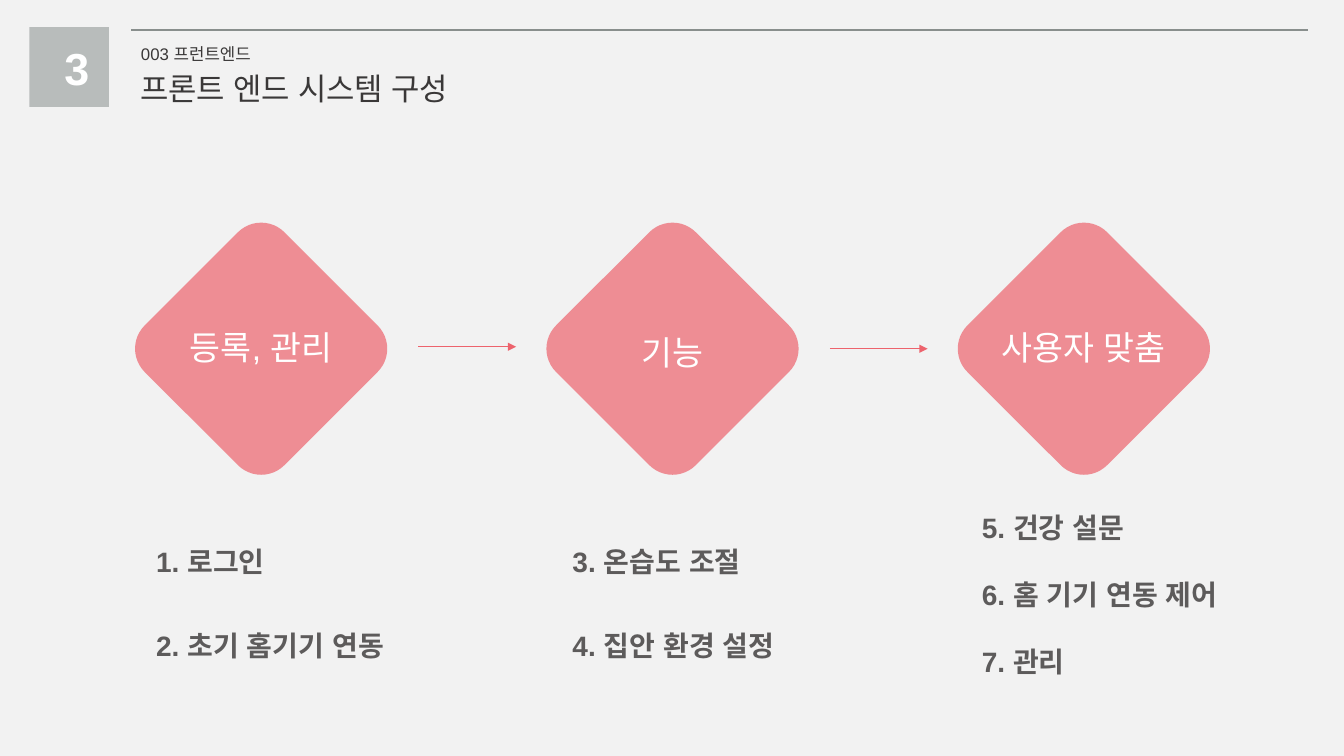
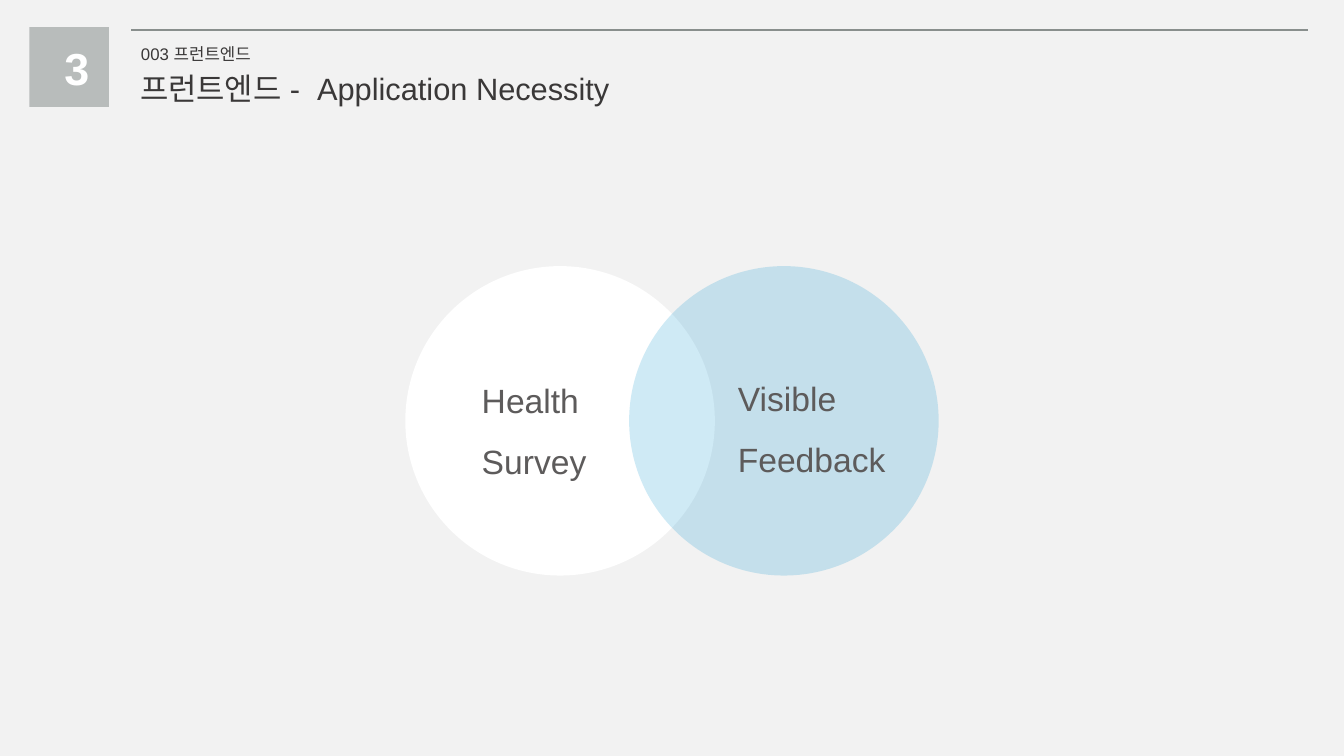
from lxml.etree import SubElement
from pptx import Presentation
from pptx.dml.color import RGBColor
from pptx.enum.shapes import MSO_CONNECTOR, MSO_SHAPE
from pptx.enum.text import MSO_ANCHOR, MSO_AUTO_SIZE, PP_ALIGN
from pptx.oxml.ns import qn
from pptx.util import Inches, Pt

# Shared style
FONT = "Arial"
BACKGROUND = "F2F2F2"
TITLE_COLOR = "3A3838"
BODY_COLOR = "5D5B5B"
WHITE = "FFFFFF"
CORAL = "ED636D"
BLUE = "1097D0"
RULE_COLOR = "898F8D"
BADGE_COLOR = "B8BCBB"

# Spacing of the three diamond columns
COLUMN_STEP = 4.08


def set_color(color_format, hex_color):
    """Fill or font: apply a hex colour."""
    color_format.rgb = RGBColor.from_string(hex_color)


def write_text(shape, lines, size, color, bold=False, align=PP_ALIGN.LEFT,
               line_spacing=None, indent=0, wrap=True):
    """Fill a shape's text frame and format every run alike."""
    frame = shape.text_frame
    frame.text = "\n".join(lines)
    frame.word_wrap = wrap
    frame.auto_size = MSO_AUTO_SIZE.SHAPE_TO_FIT_TEXT
    frame.vertical_anchor = MSO_ANCHOR.TOP
    for paragraph in frame.paragraphs:
        paragraph.alignment = align
        if line_spacing:
            paragraph.line_spacing = line_spacing
        if indent:
            properties = paragraph._p.get_or_add_pPr()
            properties.set("marL", str(Inches(indent)))
            properties.set("indent", "0")
        for run in paragraph.runs:
            run.font.name = FONT
            run.font.size = Pt(size)
            run.font.bold = bold
            set_color(run.font.color, color)
            # Korean glyphs use the East Asian font slot
            SubElement(run._r.get_or_add_rPr(), qn("a:ea"), typeface=FONT)


def add_text(slide, box, lines, size, color, **style):
    text_box = slide.shapes.add_textbox(*map(Inches, box))
    write_text(text_box, lines, size, color, **style)


def add_filled_shape(slide, kind, box, color, opacity=100):
    shape = slide.shapes.add_shape(kind, *map(Inches, box))
    shape.shadow.inherit = False
    shape.line.fill.background()
    shape.fill.solid()
    set_color(shape.fill.fore_color, color)
    if opacity < 100:
        color_element = shape._element.spPr.find(qn("a:solidFill"))[0]
        SubElement(color_element, qn("a:alpha"), val=str(opacity * 1000))
    return shape


def add_horizontal_line(slide, left, right, top, color, width, arrow=False):
    connector = slide.shapes.add_connector(
        MSO_CONNECTOR.STRAIGHT,
        Inches(left), Inches(top), Inches(right), Inches(top))
    connector.line.width = Pt(width)
    set_color(connector.line.color, color)
    if arrow:
        SubElement(connector.line._get_or_add_ln(), qn("a:tailEnd"),
                   type="triangle")
    SubElement(connector._element.spPr, qn("a:effectLst"))


def add_content_slide(presentation, title):
    """Title-only slide with the rule, number badge and section label."""
    slide = presentation.slides.add_slide(presentation.slide_layouts[5])
    heading = slide.shapes.title
    heading.left, heading.top = Inches(1.29), Inches(0.64)
    heading.width, heading.height = Inches(7.56), Inches(0.47)
    write_text(heading, [title], 22, TITLE_COLOR)

    add_horizontal_line(slide, 1.3, 12.97, 0.3, RULE_COLOR, 1.5)
    add_filled_shape(slide, MSO_SHAPE.RECTANGLE, (0.29, 0.27, 0.79, 0.79),
                     BADGE_COLOR)
    add_text(slide, (0.54, 0.35, 0.28, 0.64), ["3"], 32, WHITE,
             bold=True, align=PP_ALIGN.CENTER)
    add_text(slide, (1.3, 0.38, 1.37, 0.3), ["003 프런트엔드"], 12,
             TITLE_COLOR, wrap=False)
    return slide


def add_diamond(slide, column, label, label_top):
    offset = column * COLUMN_STEP
    diamond = add_filled_shape(slide, MSO_SHAPE.ROUNDED_RECTANGLE,
                               (1.61 + offset, 2.48, 1.96, 1.96), CORAL, 70)
    diamond.rotation = 45
    add_text(slide, (1.57 + offset, label_top, 2.04, 0.5), [label], 24, WHITE,
             align=PP_ALIGN.CENTER)


def add_circle(slide, left, color, opacity):
    add_filled_shape(slide, MSO_SHAPE.OVAL, (left, 2.64, 3.07, 3.07),
                     color, opacity)


def build_system_slide(presentation):
    slide = add_content_slide(presentation, "프론트 엔드 시스템 구성")

    # Diamonds and the arrows between them
    labels = [("등록, 관리", 3.19), ("기능", 3.24), ("사용자 맞춤", 3.19)]
    for column, (label, label_top) in enumerate(labels):
        add_diamond(slide, column, label, label_top)
    for column, top in enumerate((3.44, 3.46)):
        left = 4.15 + column * COLUMN_STEP
        add_horizontal_line(slide, left, left + 0.97, top, CORAL, 0.75,
                            arrow=True)

    # Feature lists: box, line spacing, indent, items
    features = [
        ((1.29, 4.85, 3.07, 1.78), 2.5, 0.16,
         ["1. 로그인", "2. 초기 홈기기 연동"]),
        ((5.58, 4.85, 2.96, 1.78), 2.5, 0,
         ["3. 온습도 조절", "4. 집안 환경 설정"]),
        ((9.64, 4.68, 2.78, 2.12), 2.0, 0,
         ["5. 건강 설문", "6. 홈 기기 연동 제어", "7. 관리"]),
    ]
    for box, line_spacing, indent, items in features:
        add_text(slide, box, items, 20, BODY_COLOR, bold=True,
                 align=PP_ALIGN.JUSTIFY, line_spacing=line_spacing,
                 indent=indent)


def build_necessity_slide(presentation):
    slide = add_content_slide(presentation,
                              "프런트엔드 -  Application Necessity")

    # Overlapping circles
    add_circle(slide, 4.02, WHITE, 100)
    add_circle(slide, 6.24, BLUE, 20)

    # Circle labels
    labels = [
        ((4.68, 3.52, 1.44, 1.31), ["Health", "Survey"]),
        ((7.22, 3.5, 1.83, 1.31), ["Visible", "Feedback"]),
    ]
    for box, lines in labels:
        add_text(slide, box, lines, 24, BODY_COLOR, line_spacing=1.5)


def main():
    presentation = Presentation()
    presentation.slide_width = Inches(13.33)
    presentation.slide_height = Inches(7.5)
    background = presentation.slide_master.background.fill
    background.solid()
    set_color(background.fore_color, BACKGROUND)

    build_system_slide(presentation)
    build_necessity_slide(presentation)
    presentation.save("out.pptx")


if __name__ == "__main__":
    main()
